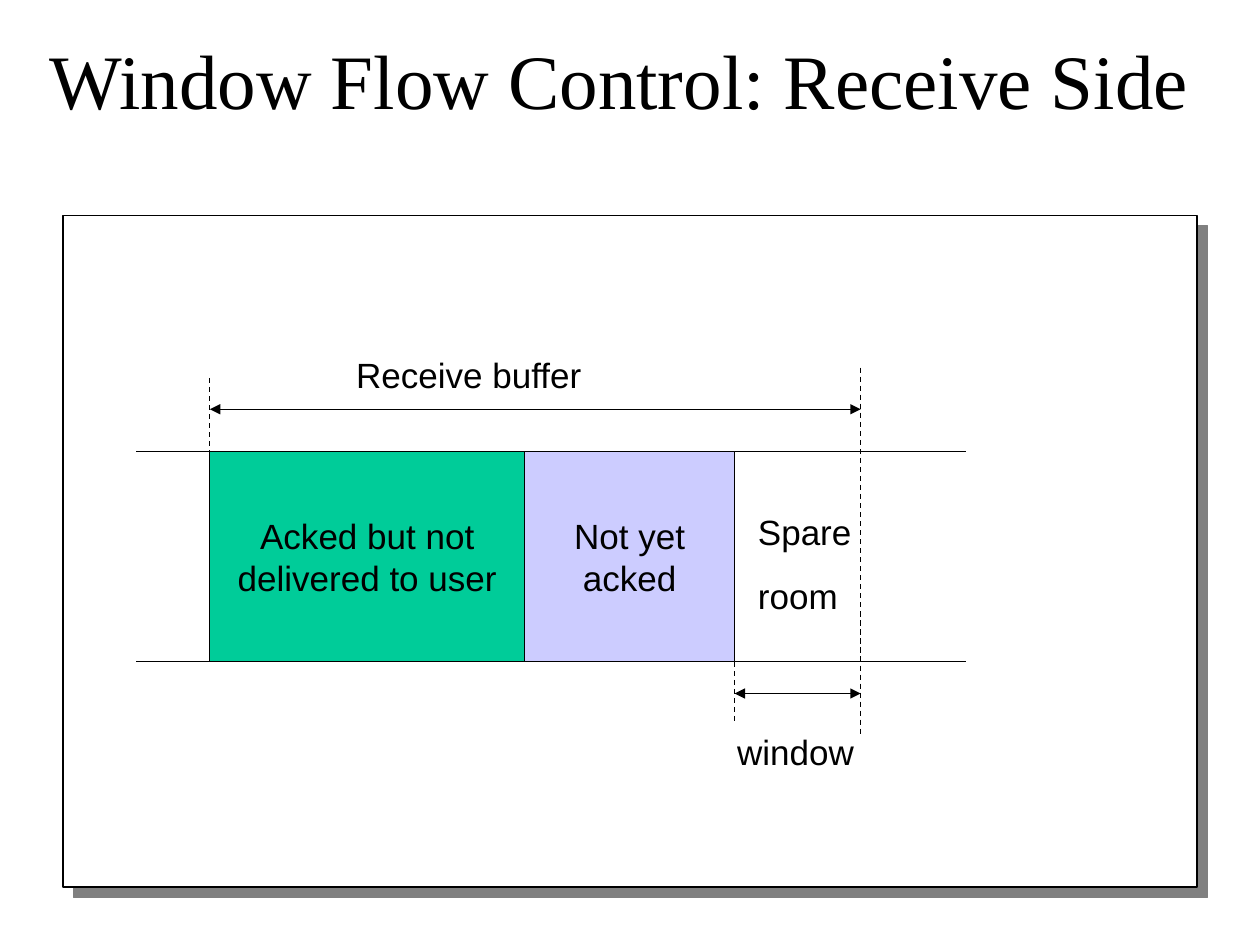
import dataclasses

import lxml.etree
import pptx
import pptx.dml.color
import pptx.enum.dml
import pptx.enum.shapes
import pptx.enum.text
import pptx.oxml
import pptx.oxml.ns
import pptx.util

Cm = pptx.util.Cm
Pt = pptx.util.Pt
RGB = pptx.dml.color.RGBColor
ALIGN = pptx.enum.text.PP_ALIGN
ANCHOR = pptx.enum.text.MSO_ANCHOR


@dataclasses.dataclass(frozen=True)
class Theme:
    """Colours, fonts and sizes of the slide."""

    ink: RGB = RGB(0x00, 0x00, 0x00)
    paper: RGB = RGB(0xFF, 0xFF, 0xFF)
    delivered: RGB = RGB(0x00, 0xCC, 0x99)
    pending: RGB = RGB(0xCC, 0xCC, 0xFF)
    shadow: str = "808080"
    title_font: str = "Times New Roman"
    body_font: str = "Arial"
    title_size: float = 44
    body_size: float = 20
    line: float = 0.75


THEME = Theme()


def write(tf, lines, font, size, align=ALIGN.LEFT, gap=0):
    """Fill a text frame with one paragraph per line."""
    for i, line in enumerate(lines):
        p = tf.add_paragraph() if i else tf.paragraphs[0]
        p.text = line
        p.alignment = align
        if i:
            p.space_before = Pt(gap)
        p.font.name = font
        p.font.size = Pt(size)
        p.font.color.rgb = THEME.ink


def add_box(s, x, y, w, h, fill):
    """Add an outlined rectangle and return it."""
    sp = s.shapes.add_shape(
        pptx.enum.shapes.MSO_SHAPE.RECTANGLE, Cm(x), Cm(y), Cm(w), Cm(h))
    sp.shadow.inherit = False
    sp.fill.solid()
    sp.fill.fore_color.rgb = fill
    sp.line.color.rgb = THEME.ink
    sp.line.width = Pt(THEME.line)
    return sp


def add_line(s, x1, y1, x2, y2, dashed=False, arrows=False):
    """Add a straight line, optionally dashed or with two arrowheads."""
    c = s.shapes.add_connector(
        pptx.enum.shapes.MSO_CONNECTOR.STRAIGHT, Cm(x1), Cm(y1), Cm(x2), Cm(y2))
    c.line.color.rgb = THEME.ink
    c.line.width = Pt(THEME.line)
    if dashed:
        c.line.dash_style = pptx.enum.dml.MSO_LINE.DASH
    qn = pptx.oxml.ns.qn
    if arrows:
        for end in ("a:headEnd", "a:tailEnd"):
            lxml.etree.SubElement(c.line._get_or_add_ln(), qn(end), type="triangle")
    lxml.etree.SubElement(c._element.spPr, qn("a:effectLst"))


def add_label(s, x, y, w, h, lines, wrap=False, gap=0):
    """Add a body text label."""
    tf = s.shapes.add_textbox(Cm(x), Cm(y), Cm(w), Cm(h)).text_frame
    tf.word_wrap = wrap
    write(tf, lines, THEME.body_font, THEME.body_size, gap=gap)


def add_title(s, x, y, w, h, text):
    """Place and format the title placeholder."""
    sp = s.shapes.title
    sp.left, sp.top, sp.width, sp.height = Cm(x), Cm(y), Cm(w), Cm(h)
    sp.text_frame.vertical_anchor = ANCHOR.MIDDLE
    write(sp.text_frame, [text], THEME.title_font, THEME.title_size, ALIGN.CENTER)


def add_panel(s, x, y, w, h):
    """Draw the panel with its hard offset shadow."""
    sp = add_box(s, x, y, w, h, THEME.paper)
    effects = sp._element.spPr.find(pptx.oxml.ns.qn("a:effectLst"))
    effects.append(pptx.oxml.parse_xml(
        f'<a:outerShdw {pptx.oxml.ns.nsdecls("a")} blurRad="0" dist="{Pt(8.5)}"'
        ' dir="2700000" algn="ctr" rotWithShape="0">'
        f'<a:srgbClr val="{THEME.shadow}"/></a:outerShdw>'))


def add_buffer(s, x, y, w, h):
    """Draw the receive buffer, its cells and its dimensions in a box."""
    cells = [
        (6.35, THEME.delivered, ["Acked but not", "delivered to user"]),
        (4.23, THEME.pending, ["Not yet", "acked"]),
    ]
    spare = 2.54
    top, bottom = y + 4.76, y + 9
    start = x + 2.96
    for rail in (top, bottom):
        add_line(s, x + 1.48, rail, x + w - 4.65, rail)

    edge = start
    for width, fill, lines in cells:
        sp = add_box(s, edge, top, width, bottom - top, fill)
        tf = sp.text_frame
        tf.word_wrap = False
        tf.vertical_anchor = ANCHOR.MIDDLE
        write(tf, lines, THEME.body_font, THEME.body_size, ALIGN.CENTER)
        edge += width
    end = edge + spare

    for guide, y1, y2 in [
        (start, top - 1.48, top + 0.22),
        (edge, bottom, bottom + 1.27),
        (end, top - 1.69, bottom + 1.48),
    ]:
        add_line(s, guide, y1, guide, y2, dashed=True)
    add_line(s, start, top - 0.85, end, top - 0.85, arrows=True)
    add_line(s, edge, bottom + 0.64, end, bottom + 0.64, arrows=True)

    add_label(s, start + 2.7, top - 2.09, 5.05, 1.12, ["Receive buffer"])
    add_label(s, edge - 0.2, bottom + 1.27, 2.87, 1.12, ["window"])
    add_label(s, edge + 0.22, top + 1.06, 2.74, 2.39, ["Spare", "room"],
              wrap=True, gap=12.5)


def main():
    """Build and save the slide."""
    prs = pptx.Presentation()
    prs.slide_width, prs.slide_height = Cm(25.4), Cm(19.05)
    s = prs.slides.add_slide(prs.slide_layouts.get_by_name("Title Only"))
    panel = (1.27, 4.34, 22.86, 13.54)
    add_title(s, 0.64, 0, 23.7, 3.18, "Window Flow Control: Receive Side")
    add_panel(s, *panel)
    add_buffer(s, *panel)
    prs.save("out.pptx")


if __name__ == "__main__":
    main()
